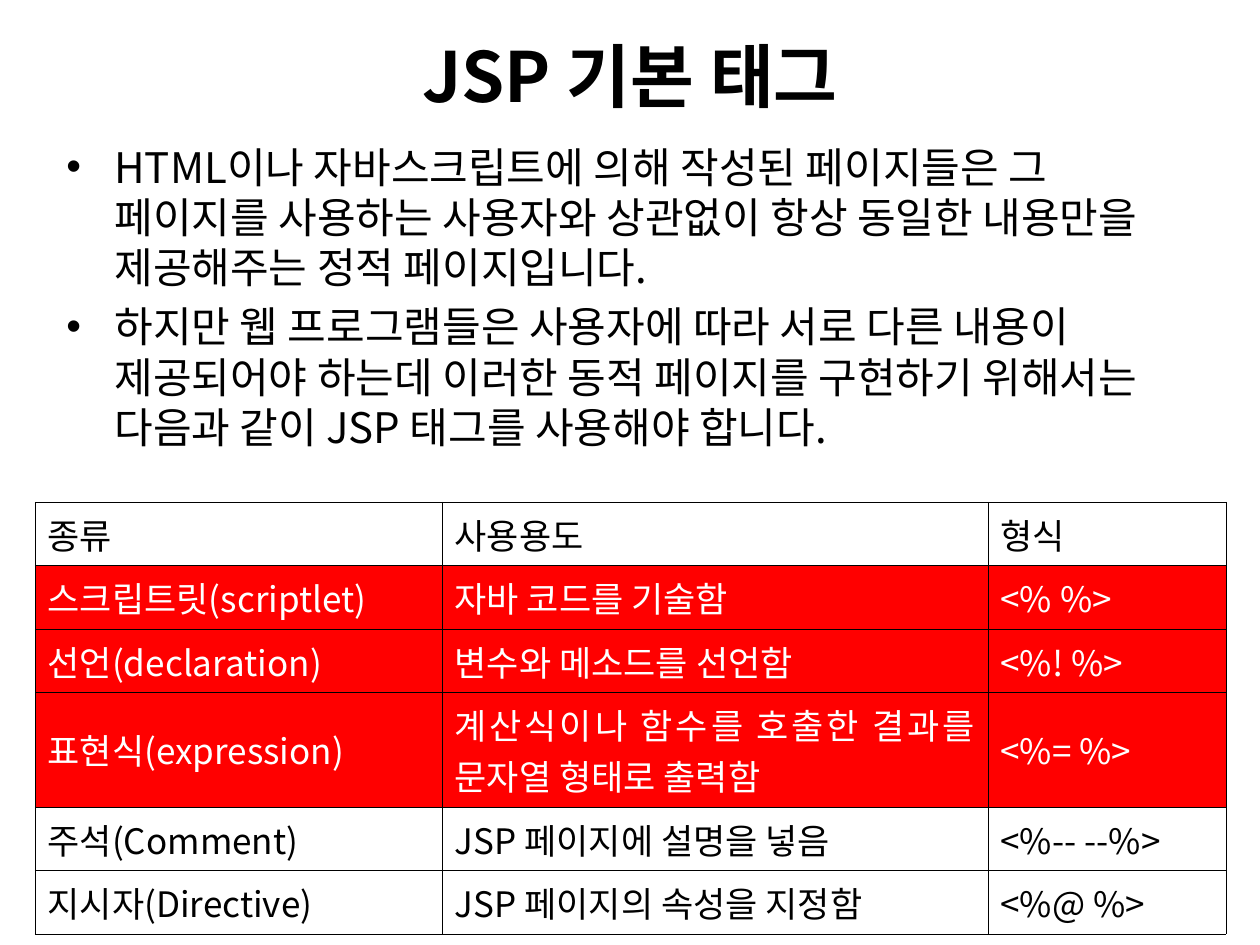
from dataclasses import dataclass

from lxml.etree import SubElement
from pptx import Presentation
from pptx.dml.color import RGBColor
from pptx.enum.text import MSO_ANCHOR as Anchor, MSO_AUTO_SIZE as AutoSize, PP_ALIGN as Align
from pptx.oxml.ns import qn
from pptx.util import Pt

EMU_PER_PX = 914400 / 126
FONT = "Noto Sans CJK KR"
BLACK, WHITE, RED = "000000", "FFFFFF", "FF0000"


@dataclass(frozen=True)
class Box:
    left: int
    top: int
    width: int
    height: int


@dataclass(frozen=True)
class TagRow:
    cells: tuple[str, str, str]
    highlighted: bool = False
    height: int = 63


TITLE_BOX = Box(63, 24, 1134, 102)
BODY_BOX = Box(54, 135, 1134, 338)
TABLE_LEFT, TABLE_TOP = 35, 502
COLUMN_WIDTHS = (407, 546, 238)
BULLET_INDENT = 48

BULLETS = (
    "HTML이나 자바스크립트에 의해 작성된 페이지들은 그 페이지를 사용하는 사용자와 "
    "상관없이 항상 동일한 내용만을 제공해주는 정적 페이지입니다.",
    "하지만 웹 프로그램들은 사용자에 따라 서로 다른 내용이 제공되어야 하는데 이러한 "
    "동적 페이지를 구현하기 위해서는 다음과 같이 JSP 태그를 사용해야 합니다.",
)
TAG_ROWS = (
    TagRow(("종류", "사용용도", "형식")),
    TagRow(("스크립트릿(scriptlet)", "자바 코드를 기술함", "<% %>"), True, 64),
    TagRow(("선언(declaration)", "변수와 메소드를 선언함", "<%! %>"), True),
    TagRow(("표현식(expression)", "계산식이나 함수를 호출한 결과를 문자열 형태로 출력함",
            "<%= %>"), True, 115),
    TagRow(("주석(Comment)", "JSP 페이지에 설명을 넣음", "<%-- --%>")),
    TagRow(("지시자(Directive)", "JSP 페이지의 속성을 지정함", "<%@ %>"), height=64),
)


def px(n: int) -> int:
    return round(n * EMU_PER_PX)


def rgb(color: str) -> RGBColor:
    return RGBColor.from_string(color)


def write(p, text: str, *, size: float, color: str = BLACK, bold: bool = False,
          align: Align = Align.LEFT) -> None:
    p.alignment = align
    r = p.add_run()
    r.text = text
    r.font.size, r.font.bold, r.font.name = Pt(size), bold, FONT
    r.font.color.rgb = rgb(color)
    SubElement(r.font._element, qn("a:ea"), typeface=FONT)


def place(sp, box: Box) -> None:
    sp.left, sp.top = px(box.left), px(box.top)
    sp.width, sp.height = px(box.width), px(box.height)


def add_title(slide, text: str) -> None:
    sp = slide.shapes.title
    place(sp, TITLE_BOX)
    tf = sp.text_frame
    tf.auto_size, tf.vertical_anchor = AutoSize.NONE, Anchor.MIDDLE
    tf.margin_top = tf.margin_bottom = 0
    write(tf.paragraphs[0], text, size=39.6, bold=True, align=Align.CENTER)


def add_bullets(slide, texts: tuple[str, ...]) -> None:
    b = BODY_BOX
    tf = slide.shapes.add_textbox(px(b.left), px(b.top), px(b.width), px(b.height)).text_frame
    tf.word_wrap = True
    for i, text in enumerate(texts):
        p = tf.add_paragraph() if i else tf.paragraphs[0]
        p.space_before = Pt(4.8)
        write(p, text, size=24)
        pPr = p._p.get_or_add_pPr()
        pPr.set("marL", str(px(BULLET_INDENT)))
        pPr.set("indent", str(-px(BULLET_INDENT)))
        SubElement(pPr, qn("a:buFont"), typeface="Arial")
        SubElement(pPr, qn("a:buChar"), char="•")


def add_borders(cell) -> None:
    """Draw all four edges; call before the fill, which must follow them in the XML."""
    tcPr = cell._tc.get_or_add_tcPr()
    for side in ("lnL", "lnR", "lnT", "lnB"):
        ln = SubElement(tcPr, qn(f"a:{side}"), w=str(Pt(0.28)))
        SubElement(SubElement(ln, qn("a:solidFill")), qn("a:srgbClr"), val=BLACK)


def format_cell(cell, text: str, highlighted: bool) -> None:
    add_borders(cell)
    if highlighted:
        cell.fill.solid()
        cell.fill.fore_color.rgb = rgb(RED)
    else:
        cell.fill.background()
    cell.vertical_anchor = Anchor.MIDDLE
    write(cell.text_frame.paragraphs[0], text, size=20,
          color=WHITE if highlighted else BLACK, align=Align.JUSTIFY)


def add_tag_table(slide, rows: tuple[TagRow, ...]) -> None:
    table = slide.shapes.add_table(
        len(rows), len(COLUMN_WIDTHS), px(TABLE_LEFT), px(TABLE_TOP),
        px(sum(COLUMN_WIDTHS)), px(sum(row.height for row in rows))).table
    table.first_row = table.horz_banding = False
    for column, width in zip(table.columns, COLUMN_WIDTHS):
        column.width = px(width)
    for table_row, row in zip(table.rows, rows):
        table_row.height = px(row.height)
        for cell, text in zip(table_row.cells, row.cells):
            format_cell(cell, text, row.highlighted)


def main() -> None:
    prs = Presentation()
    prs.slide_width, prs.slide_height = px(1260), px(945)
    slide = prs.slides.add_slide(prs.slide_layouts.get_by_name("Title Only"))
    add_title(slide, "JSP 기본 태그")
    add_bullets(slide, BULLETS)
    add_tag_table(slide, TAG_ROWS)
    prs.save("out.pptx")


if __name__ == "__main__":
    main()
